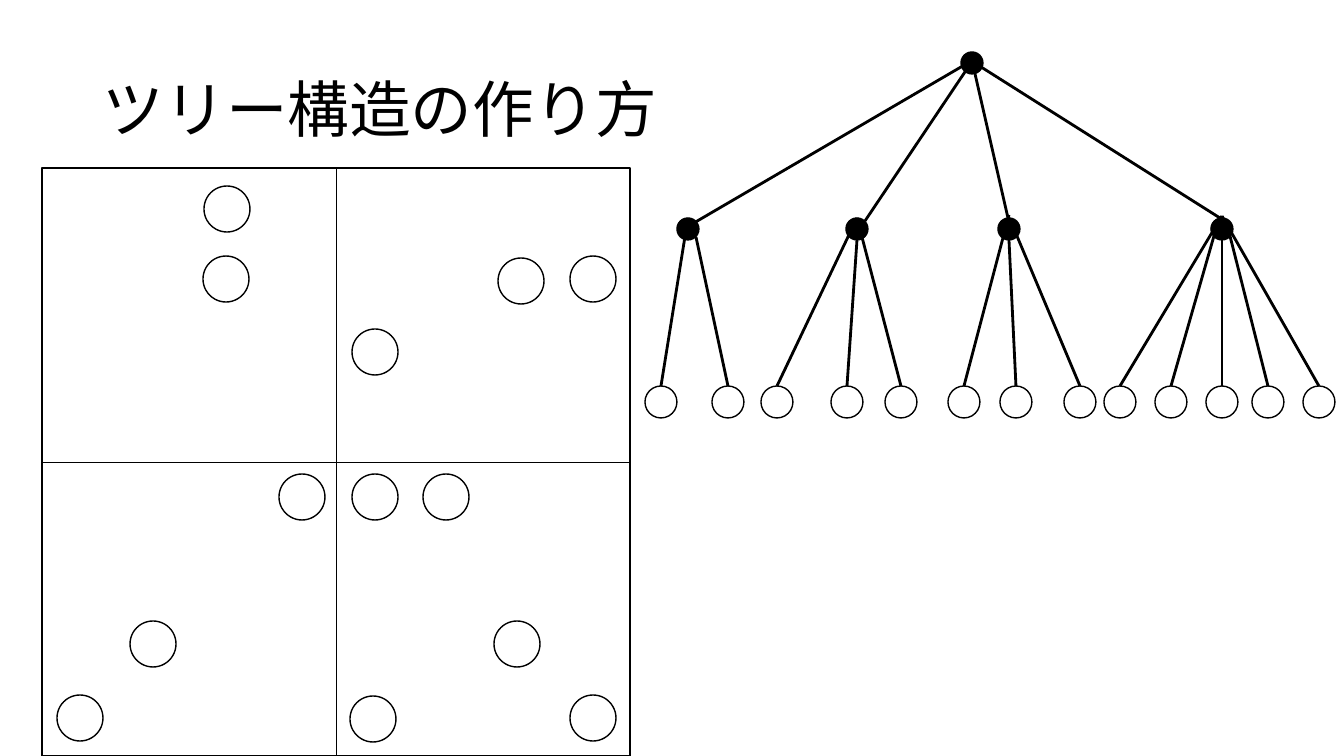
from lxml import etree
from pptx import Presentation
from pptx.dml.color import RGBColor
from pptx.enum.shapes import MSO_CONNECTOR, MSO_SHAPE
from pptx.enum.text import MSO_ANCHOR
from pptx.oxml.ns import qn
from pptx.util import Pt

SLIDE_W, SLIDE_H = 1344, 756
EMU_PER_PX = 12192000 / SLIDE_W
COLORS = {"ink": "000000"}
FONT = "Calibri"
PARTICLE_D, LEAF_D, NODE_D = 46, 32, 22

# Particle centres within the board
PARTICLES = [
    (184, 111), (404, 329), (551, 550), (331, 551), (111, 476),
    (38, 550), (479, 113), (551, 111), (475, 476), (333, 184),
    (260, 329), (333, 329), (185, 41),
]

# Tree, relative to its box; edge starts are offsets from the parent's centre
ROOT = (327, 11)
NODE_Y, LEAF_Y = 177, 350
BRANCHES = [
    {"x": 43, "start": (1, -3), "end": (-1, -2),
     "leaves": [(16, (0, -11)), (83, (8, 8))]},
    {"x": 212, "start": (1, -3), "end": (8, -8),
     "leaves": [(132, (0, -11)), (202, (0, 11)), (256, (0, -11))]},
    {"x": 364, "start": (1, 2), "end": (-1, -11),
     "leaves": [(319, (0, -14)), (371, (0, 11)), (435, (8, 7))]},
    {"x": 577, "start": (-2, -3), "end": (-2, -11),
     "leaves": [(475, (0, -13)), (526, (-8, 7)), (577, (0, 11)),
                (623, (8, 7)), (674, (0, -13))]},
]


def px(value):
    return round(value * EMU_PER_PX)


def rgb(name):
    return RGBColor.from_string(COLORS[name])


def add_outline(slide, kind, left, top, width, height, filled=False):
    shape = slide.shapes.add_shape(kind, px(left), px(top), px(width), px(height))
    shape.shadow.inherit = False
    if filled:
        shape.fill.solid()
        shape.fill.fore_color.rgb = rgb("ink")
    else:
        shape.fill.background()
    shape.line.color.rgb = rgb("ink")
    shape.line.width = Pt(1)


def add_circle(slide, x, y, diameter, filled=False):
    add_outline(slide, MSO_SHAPE.OVAL, x - diameter / 2, y - diameter / 2,
                diameter, diameter, filled)


def add_line(slide, start, end, weight):
    line = slide.shapes.add_connector(
        MSO_CONNECTOR.STRAIGHT, *(px(v) for v in (*start, *end)))
    line.line.color.rgb = rgb("ink")
    line.line.width = Pt(weight)
    etree.SubElement(line._element.spPr, qn("a:effectLst"))


def add_title(slide, left, top, width, height):
    box = slide.shapes.add_textbox(px(left), px(top), px(width), px(height))
    frame = box.text_frame
    frame.word_wrap = True
    frame.vertical_anchor = MSO_ANCHOR.MIDDLE
    paragraph = frame.paragraphs[0]
    paragraph.line_spacing = 0.9
    run = paragraph.add_run()
    run.text = "ツリー構造の作り方"
    run.font.name = FONT
    run.font.size = Pt(44)
    run.font.color.rgb = rgb("ink")


def add_board(slide, left, top, side):
    # Square split into four cells
    add_outline(slide, MSO_SHAPE.RECTANGLE, left, top, side, side)
    middle_x, middle_y = left + side / 2, top + side / 2
    add_line(slide, (left, middle_y), (left + side, middle_y), 0.5)
    add_line(slide, (middle_x, top), (middle_x, top + side), 0.5)
    for x, y in PARTICLES:
        add_circle(slide, left + x, top + y, PARTICLE_D)


def add_tree(slide, left, top):
    def at(x, y, offset=(0, 0)):
        return left + x + offset[0], top + y + offset[1]

    for branch in BRANCHES:
        node = (branch["x"], NODE_Y)
        # Edge from the root, then the node itself
        add_line(slide, at(*ROOT, branch["start"]), at(*node, branch["end"]), 2)
        add_circle(slide, *at(*node), NODE_D, filled=True)
        # Leaves and their edges
        for leaf_x, offset in branch["leaves"]:
            add_line(slide, at(*node, offset), at(leaf_x, LEAF_Y - LEAF_D / 2), 2)
            add_circle(slide, *at(leaf_x, LEAF_Y), LEAF_D)
    add_circle(slide, *at(*ROOT), NODE_D, filled=True)


prs = Presentation()
prs.slide_width, prs.slide_height = px(SLIDE_W), px(SLIDE_H)
tree_slide = prs.slides.add_slide(prs.slide_layouts[6])
add_title(tree_slide, 93, 40, 1159, 146)
add_board(tree_slide, 42, 168, 588)
add_tree(tree_slide, 645, 52)
prs.save("out.pptx")
